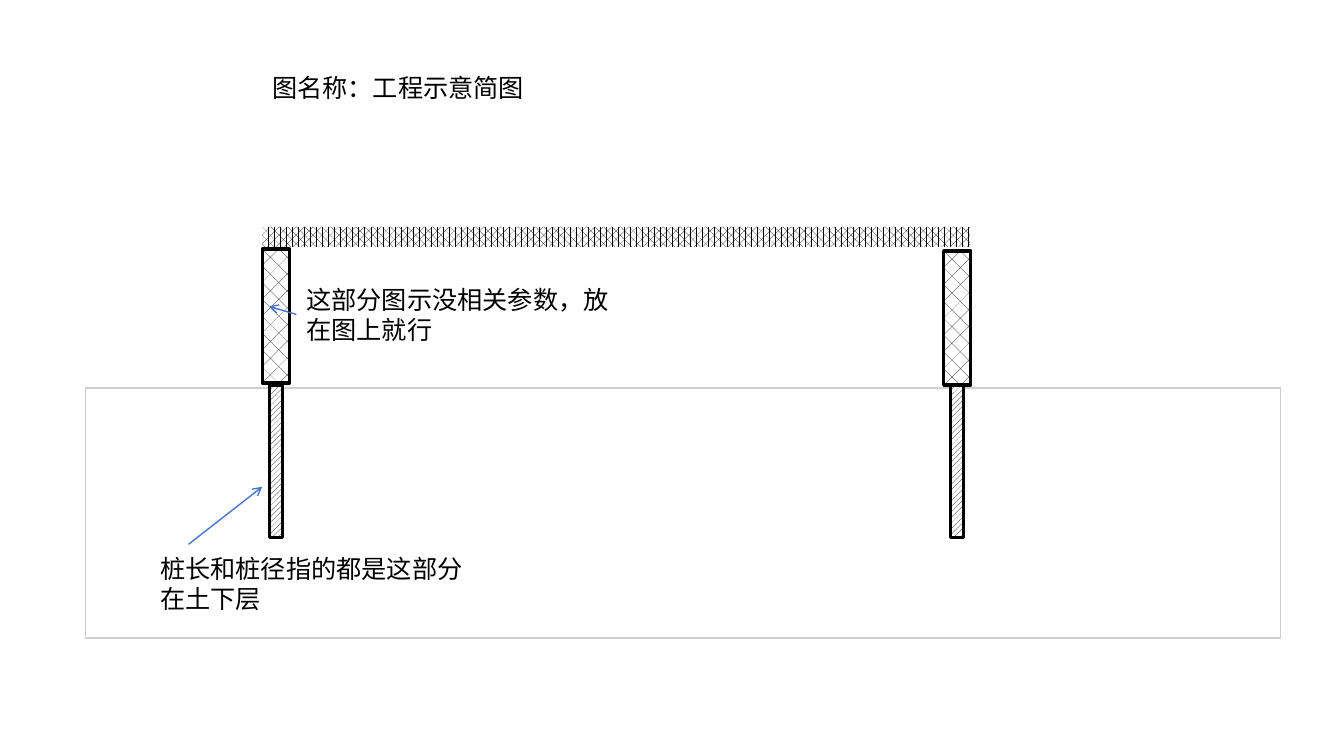
from pptx import Presentation
from pptx.dml.color import RGBColor
from pptx.enum.dml import MSO_PATTERN_TYPE as PATTERN
from pptx.enum.shapes import MSO_CONNECTOR as CONNECTOR, MSO_SHAPE as SHAPE
from pptx.enum.text import MSO_AUTO_SIZE as AUTO_SIZE
from pptx.oxml.ns import qn
from pptx.util import Inches, Pt
from lxml.etree import SubElement

COLORS = {"ink": "000000", "paper": "FFFFFF", "ground": "D0CECE", "arrow": "4874CB"}
FONT = "Calibri"


def color(name):
    return RGBColor.from_string(COLORS[name])


def add_block(page, box, pattern=None, outline=None, weight=2.25):
    block = page.shapes.add_shape(SHAPE.RECTANGLE, *map(Inches, box))
    block.shadow.inherit = False
    if pattern is None:
        block.fill.solid()
        block.fill.fore_color.rgb = color("paper")
    else:
        block.fill.patterned()
        block.fill.pattern = pattern
        block.fill.fore_color.rgb = color("ink")
        block.fill.back_color.rgb = color("paper")
    if outline is None:
        block.line.fill.background()
    else:
        block.line.color.rgb = color(outline)
        block.line.width = Pt(weight)


def add_label(page, text, box, size=18, ink="ink"):
    label = page.shapes.add_textbox(*map(Inches, box))
    frame = label.text_frame
    frame.word_wrap = True
    frame.auto_size = AUTO_SIZE.SHAPE_TO_FIT_TEXT
    span = frame.paragraphs[0].add_run()
    span.text = text
    span.font.name = FONT
    span.font.size = Pt(size)
    span.font.color.rgb = color(ink)


def add_arrow(page, start, end):
    arrow = page.shapes.add_connector(CONNECTOR.STRAIGHT, *map(Inches, start + end))
    arrow.line.color.rgb = color("arrow")
    arrow.line.width = Pt(1)
    SubElement(arrow.line._get_or_add_ln(), qn("a:tailEnd"), type="arrow")
    SubElement(arrow._element.spPr, qn("a:effectLst"))


def draw_ground(page, box):
    add_block(page, box, outline="ground", weight=1)


def draw_support(page, box, column_height=1.33, pile_width=0.13):
    left, top, width, height = box
    pile_top = 3.82
    pile_left = left + (width - pile_width) / 2
    pile = (pile_left, pile_top, pile_width, top + height - pile_top)
    add_block(page, pile, PATTERN.WIDE_UPWARD_DIAGONAL, "ink")
    add_block(page, (left, top, width, column_height), PATTERN.DIAGONAL_BRICK, "ink")


def draw_bridge(page, box):
    left, top, width, height = box
    support_width = 0.27
    bottom = top + height
    add_block(page, (left, top, width, 0.2), PATTERN.PERCENT_60)
    for support_left, support_top in ((left, 2.47), (left + 6.76, 2.49)):
        support = (support_left, support_top, support_width, bottom - support_top)
        draw_support(page, support)


def draw_note(page, text, box, start, end):
    left, top = box[:2]
    add_label(page, text, box)
    add_arrow(page, (left + start[0], top + start[1]), (left + end[0], top + end[1]))


def build_diagram(page):
    page.background.fill.solid()
    page.background.fill.fore_color.rgb = color("paper")
    draw_ground(page, (0.85, 3.85, 11.85, 2.48))
    draw_bridge(page, (2.6, 2.25, 7.02, 3.08))
    draw_note(page, "桩长和桩径指的都是这部分在土下层",
              (1.49, 5.44, 3.26, 0.71), (0.38, -0.04), (1.11, -0.61))
    draw_note(page, "这部分图示没相关参数，放在图上就行",
              (2.94, 2.77, 3.26, 0.71), (0, 0.35), (-0.27, 0.27))
    add_label(page, "图名称：工程示意简图", (2.6, 0.67, 3.26, 0.4))


def main():
    deck = Presentation()
    deck.slide_width = Inches(13.33)
    deck.slide_height = Inches(7.5)
    build_diagram(deck.slides.add_slide(deck.slide_layouts[6]))
    deck.save("out.pptx")


if __name__ == "__main__":
    main()
